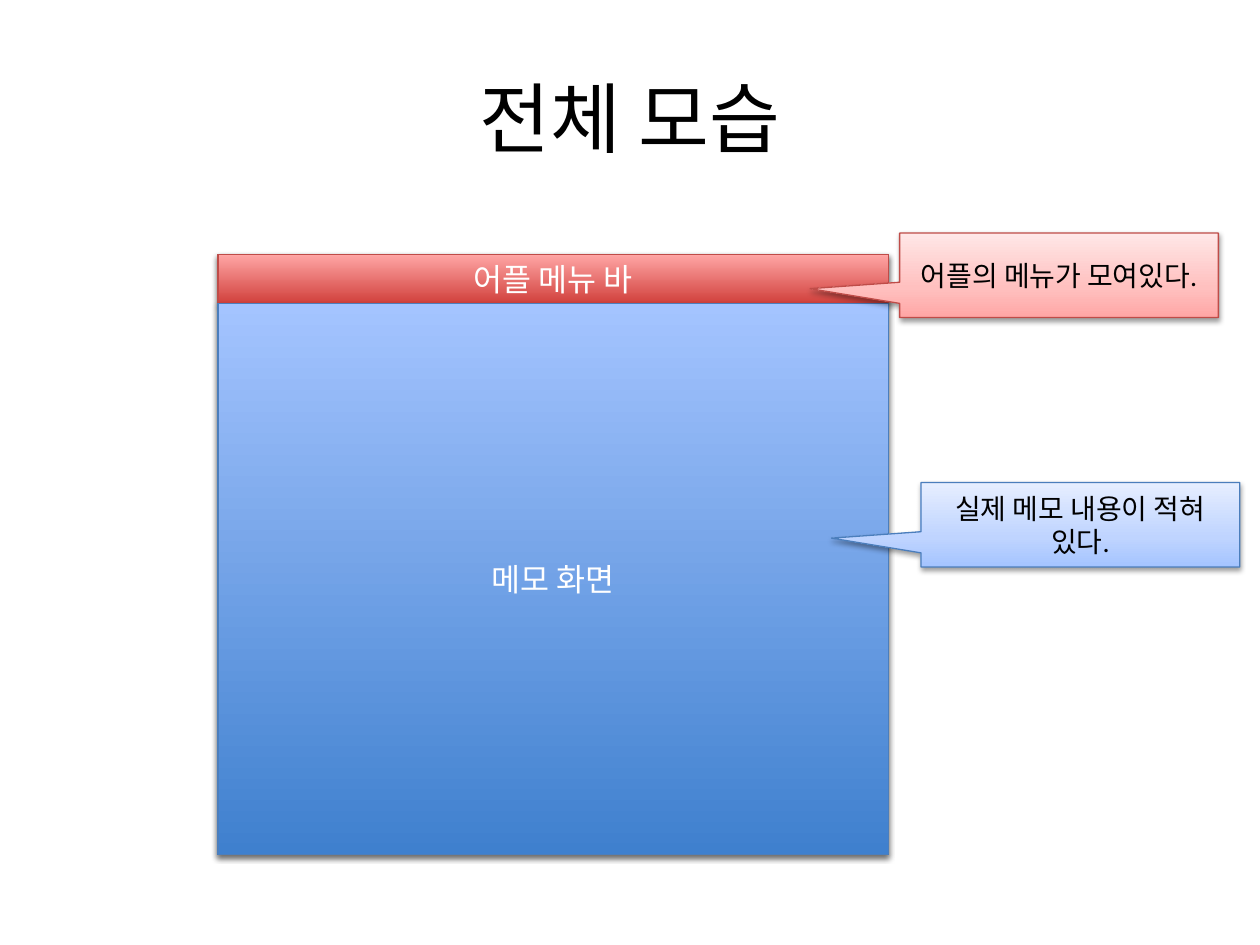
from dataclasses import dataclass

from lxml import etree
from pptx import Presentation
from pptx.dml.color import RGBColor
from pptx.enum.shapes import MSO_SHAPE
from pptx.enum.text import MSO_ANCHOR, PP_ALIGN
from pptx.oxml.ns import qn
from pptx.util import Inches, Pt


@dataclass(frozen=True)
class Palette:
    """Gradient stops (percent, colour) from bottom to top, with a line colour."""
    stops: tuple[tuple[int, str], ...]
    line: str


@dataclass(frozen=True)
class Theme:
    """Colours and type sizes of the slide."""
    font: str = "Calibri"
    dark: str = "000000"
    light: str = "FFFFFF"
    title_size: int = 44
    panel_size: int = 18
    note_size: int = 16
    blue: Palette = Palette(((0, "3F80CE"), (100, "A4C4FF")), "4B7EBC")
    red: Palette = Palette(((0, "D1403C"), (100, "FFA6A5")), "BF4C48")
    pale_blue: Palette = Palette(((0, "A4C4FF"), (35, "BFD4FF"), (100, "E6EEFF")), "4B7EBC")
    pale_red: Palette = Palette(((0, "FFA6A5"), (35, "FFC0BF"), (100, "FFE7E7")), "BF4C48")


@dataclass(frozen=True)
class Block:
    """A shaded block, placed in inches."""
    left: float
    top: float
    width: float
    height: float
    palette: Palette
    text: str = ""
    is_note: bool = False


THEME = Theme()
APP_LEFT, APP_TOP, APP_WIDTH, APP_HEIGHT = 1.73, 2.02, 5.32, 4.76
MENU_HEIGHT = 0.39
NOTE_SIZE = (2.53, 0.67)
NOTE_POINTER = (-0.781, 0.159)

BLOCKS = (
    Block(APP_LEFT, APP_TOP, APP_WIDTH, APP_HEIGHT, THEME.blue),
    Block(APP_LEFT, APP_TOP, APP_WIDTH, MENU_HEIGHT, THEME.red, "어플 메뉴 바"),
    Block(APP_LEFT, APP_TOP + MENU_HEIGHT, APP_WIDTH, APP_HEIGHT - MENU_HEIGHT,
          THEME.blue, "메모 화면"),
    Block(7.14, 1.85, *NOTE_SIZE, THEME.pale_red, "어플의 메뉴가 모여있다.", True),
    Block(7.31, 3.83, *NOTE_SIZE, THEME.pale_blue, "실제 메모 내용이 적혀 있다.", True),
)


def write_text(shape, text: str, size: int, color: str) -> None:
    """Write one centred paragraph into a shape."""
    frame = shape.text_frame
    frame.word_wrap = True
    frame.vertical_anchor = MSO_ANCHOR.MIDDLE
    paragraph = frame.paragraphs[0]
    paragraph.alignment = PP_ALIGN.CENTER
    run = paragraph.add_run()
    run.text = text
    run.font.name = THEME.font
    run.font.size = Pt(size)
    run.font.color.rgb = RGBColor.from_string(color)


def add_color(parent, color: str):
    """Append an RGB colour element and return it."""
    return etree.SubElement(parent, qn("a:srgbClr"), val=color)


def paint(shape, palette: Palette) -> None:
    """Apply an upward gradient and a thin outline."""
    shape.fill.gradient()
    shape.fill.gradient_angle = 90
    stop_list = shape.fill._xPr.find(".//" + qn("a:gsLst"))
    for stop in list(stop_list):
        stop_list.remove(stop)
    for percent, color in palette.stops:
        add_color(etree.SubElement(stop_list, qn("a:gs"), pos=str(percent * 1000)), color)
    shape.line.color.rgb = RGBColor.from_string(palette.line)
    shape.line.width = Pt(0.75)


def add_shadow(shape, distance: float, opacity: int) -> None:
    """Give a shape a soft shadow that falls straight down."""
    shape.shadow.inherit = False
    effects = shape._element.spPr.find(qn("a:effectLst"))
    shadow = etree.SubElement(effects, qn("a:outerShdw"), blurRad=str(Pt(3.1)),
                              dist=str(Pt(distance)), dir="5400000", rotWithShape="0")
    etree.SubElement(add_color(shadow, THEME.dark), qn("a:alpha"), val=str(opacity * 1000))


def add_block(slide, block: Block) -> None:
    """Draw a panel or a callout note."""
    kind = MSO_SHAPE.RECTANGULAR_CALLOUT if block.is_note else MSO_SHAPE.RECTANGLE
    shape = slide.shapes.add_shape(kind, Inches(block.left), Inches(block.top),
                                   Inches(block.width), Inches(block.height))
    paint(shape, block.palette)
    if block.is_note:
        for index, value in enumerate(NOTE_POINTER):
            shape.adjustments[index] = value
        add_shadow(shape, 1.6, 38)
        write_text(shape, block.text, THEME.note_size, THEME.dark)
    else:
        add_shadow(shape, 1.8, 35)
        if block.text:
            write_text(shape, block.text, THEME.panel_size, THEME.light)


def main() -> None:
    """Build and save the slide."""
    deck = Presentation()
    deck.slide_width, deck.slide_height = Inches(10), Inches(7.5)
    slide = deck.slides.add_slide(deck.slide_layouts[6])
    title = slide.shapes.add_textbox(Inches(0.5), Inches(0.3), Inches(9), Inches(1.25))
    write_text(title, "전체 모습", THEME.title_size, THEME.dark)
    for block in BLOCKS:
        add_block(slide, block)
    deck.save("out.pptx")


main()
